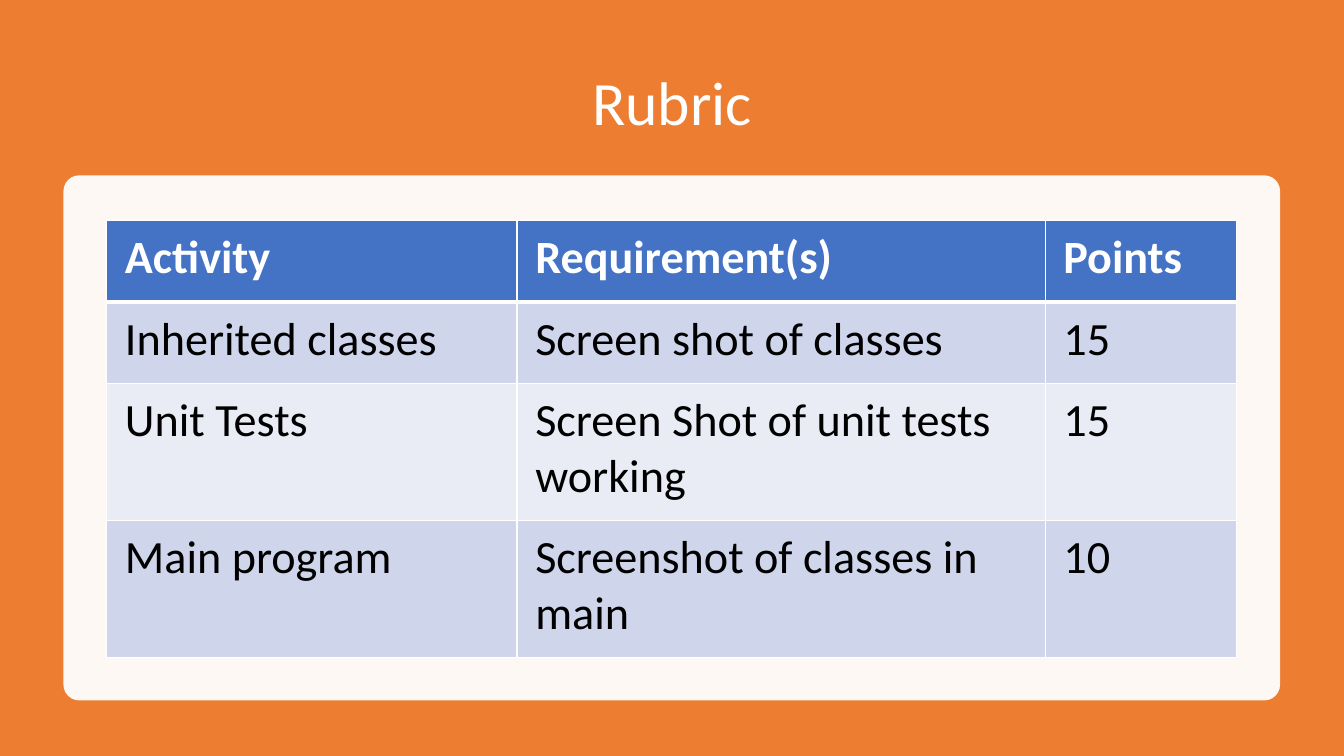
from lxml import etree
from pptx import Presentation
from pptx.dml.color import RGBColor
from pptx.enum.shapes import MSO_SHAPE
from pptx.enum.text import MSO_ANCHOR, PP_ALIGN
from pptx.oxml.ns import qn
from pptx.util import Cm, Pt

RECTANGLE = MSO_SHAPE.RECTANGLE
ROUNDED = MSO_SHAPE.ROUNDED_RECTANGLE
MIDDLE = MSO_ANCHOR.MIDDLE
LEFT, CENTER = PP_ALIGN.LEFT, PP_ALIGN.CENTER

FONT = "Calibri"
COLORS = {
    "background": "ED7D31",
    "white": "FFFFFF",
    "black": "000000",
    "header": "4472C4",
    "odd_row": "CFD5EA",
    "even_row": "E9EBF5",
}
COLUMN_WIDTHS = [10.34, 13.31, 4.83]
ROW_HEIGHTS = [2.05, 2.05, 3.45, 3.45]
RUBRIC = [
    ["Activity", "Requirement(s)", "Points"],
    ["Inherited classes", "Screen shot of classes", "15"],
    ["Unit Tests", "Screen Shot of unit tests working", "15"],
    ["Main program", "Screenshot of classes in main", "10"],
]


def color(name):
    return RGBColor.from_string(COLORS[name])


def write_text(frame, text, size, color_name, bold=False, align=LEFT, spacing=1.0):
    frame.word_wrap = True
    para = frame.paragraphs[0]
    para.alignment = align
    para.line_spacing = spacing
    span = para.add_run()
    span.text = text
    span.font.name = FONT
    span.font.size = Pt(size)
    span.font.bold = bold
    span.font.color.rgb = color(color_name)


def add_panel(page, kind, left, top, width, height, fill, opacity=100):
    panel = page.shapes.add_shape(kind, Cm(left), Cm(top), Cm(width), Cm(height))
    panel.shadow.inherit = False
    panel.line.fill.background()
    panel.fill.solid()
    panel.fill.fore_color.rgb = color(fill)
    if opacity < 100:
        tint = panel.fill._xPr.find(".//" + qn("a:srgbClr"))
        etree.SubElement(tint, qn("a:alpha"), val=str(opacity * 1000))
    return panel


def add_title(page, text):
    box = page.shapes.add_textbox(Cm(2.33), Cm(1.27), Cm(29.21), Cm(2.79))
    box.text_frame.vertical_anchor = MIDDLE
    write_text(box.text_frame, text, size=44, color_name="white",
               align=CENTER, spacing=0.9)


def add_border(cell, side, width):
    line = etree.SubElement(cell._tc.get_or_add_tcPr(), qn("a:ln" + side),
                            w=str(Pt(width)))
    fill = etree.SubElement(line, qn("a:solidFill"))
    etree.SubElement(fill, qn("a:srgbClr"), val=COLORS["white"])


def format_cell(cell, text, row):
    is_header = row == 0
    cell.margin_left = cell.margin_right = Cm(0.46)
    cell.margin_top = cell.margin_bottom = Cm(0.23)
    # Borders come before the fill in the cell properties
    for side in "LRT":
        add_border(cell, side, 3 if side == "T" and row == 1 else 1)
    add_border(cell, "B", 3 if is_header else 1)
    cell.fill.solid()
    band = "odd_row" if row % 2 else "even_row"
    cell.fill.fore_color.rgb = color("header" if is_header else band)
    write_text(cell.text_frame, text, size=33, bold=is_header,
               color_name="white" if is_header else "black")


def add_rubric(page, left, top):
    frame = page.shapes.add_table(
        len(ROW_HEIGHTS), len(COLUMN_WIDTHS), Cm(left), Cm(top),
        Cm(sum(COLUMN_WIDTHS)), Cm(sum(ROW_HEIGHTS)))
    table = frame.table
    for column, width in zip(table.columns, COLUMN_WIDTHS):
        column.width = Cm(width)
    for row, height in zip(table.rows, ROW_HEIGHTS):
        row.height = Cm(height)
    for row, texts in enumerate(RUBRIC):
        for column, text in enumerate(texts):
            format_cell(table.cell(row, column), text, row)


def main():
    deck = Presentation()
    deck.slide_width, deck.slide_height = Cm(33.87), Cm(19.05)
    page = deck.slides.add_slide(deck.slide_layouts[6])

    # Background and title
    add_panel(page, RECTANGLE, 0, 0, 33.87, 19.05, "background")
    add_title(page, "Rubric")

    # Rubric table on its card
    card = add_panel(page, ROUNDED, 1.6, 4.42, 30.66, 13.23, "white", opacity=95)
    card.adjustments[0] = 0.03
    add_rubric(page, 2.69, 5.56)

    deck.save("out.pptx")


if __name__ == "__main__":
    main()
